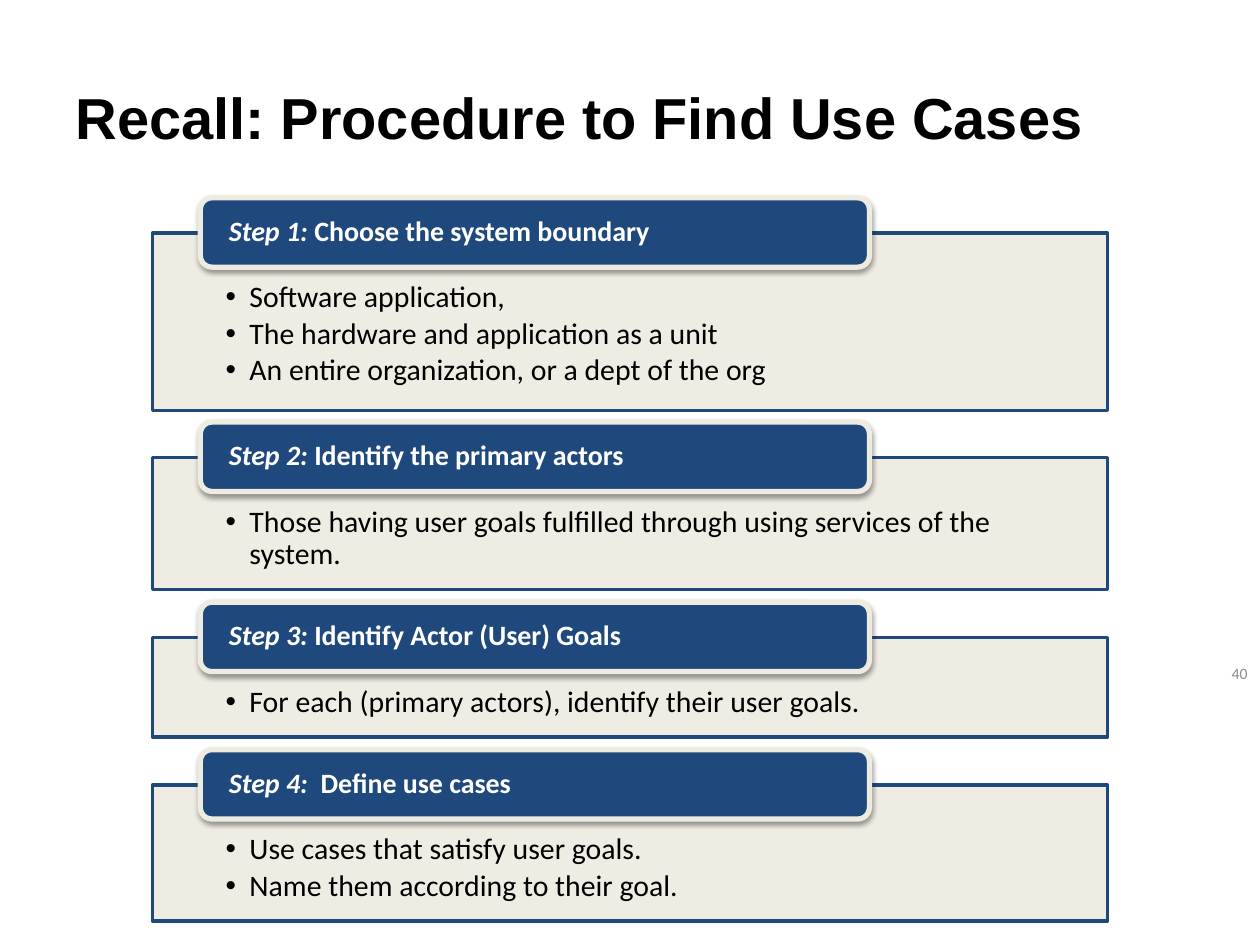
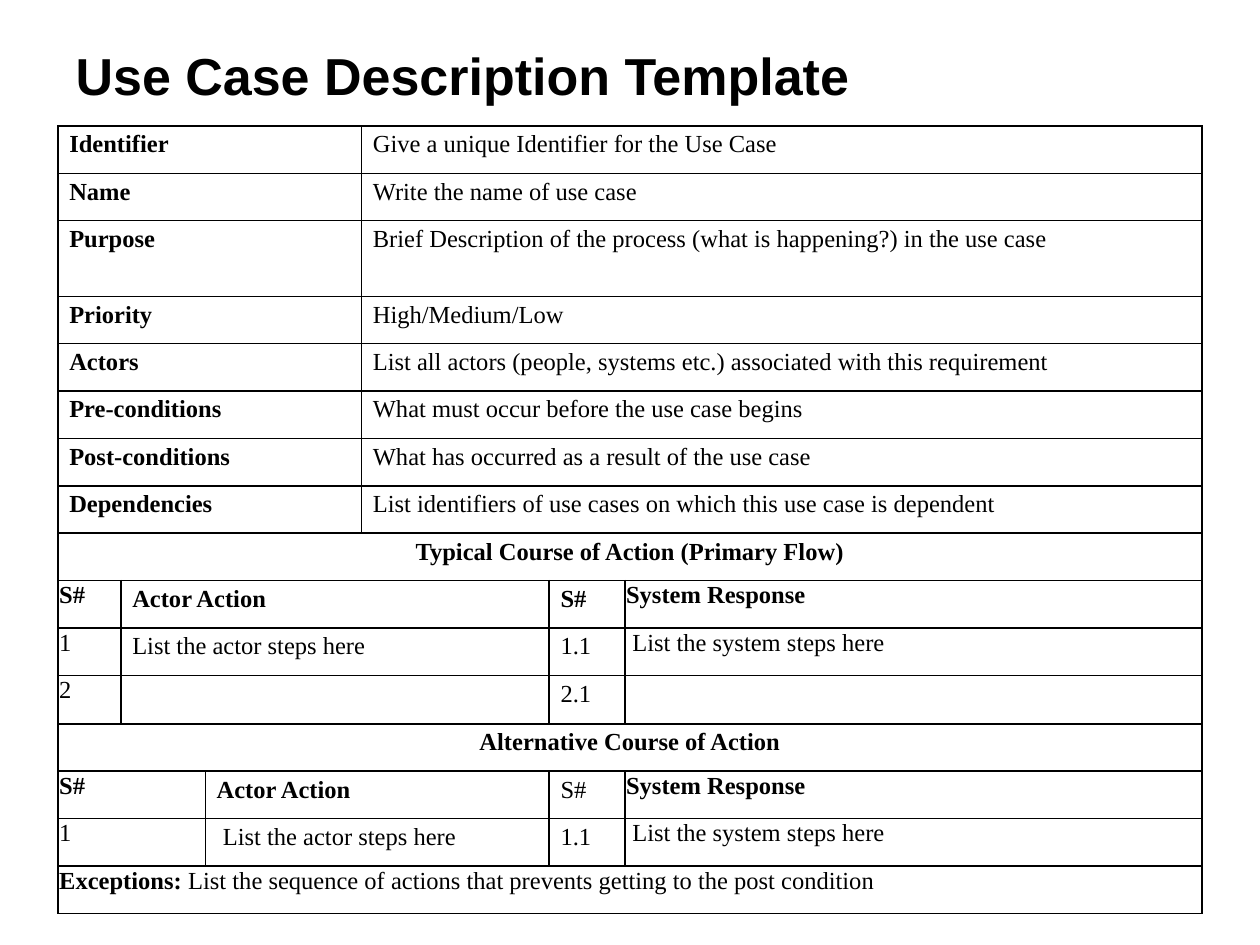
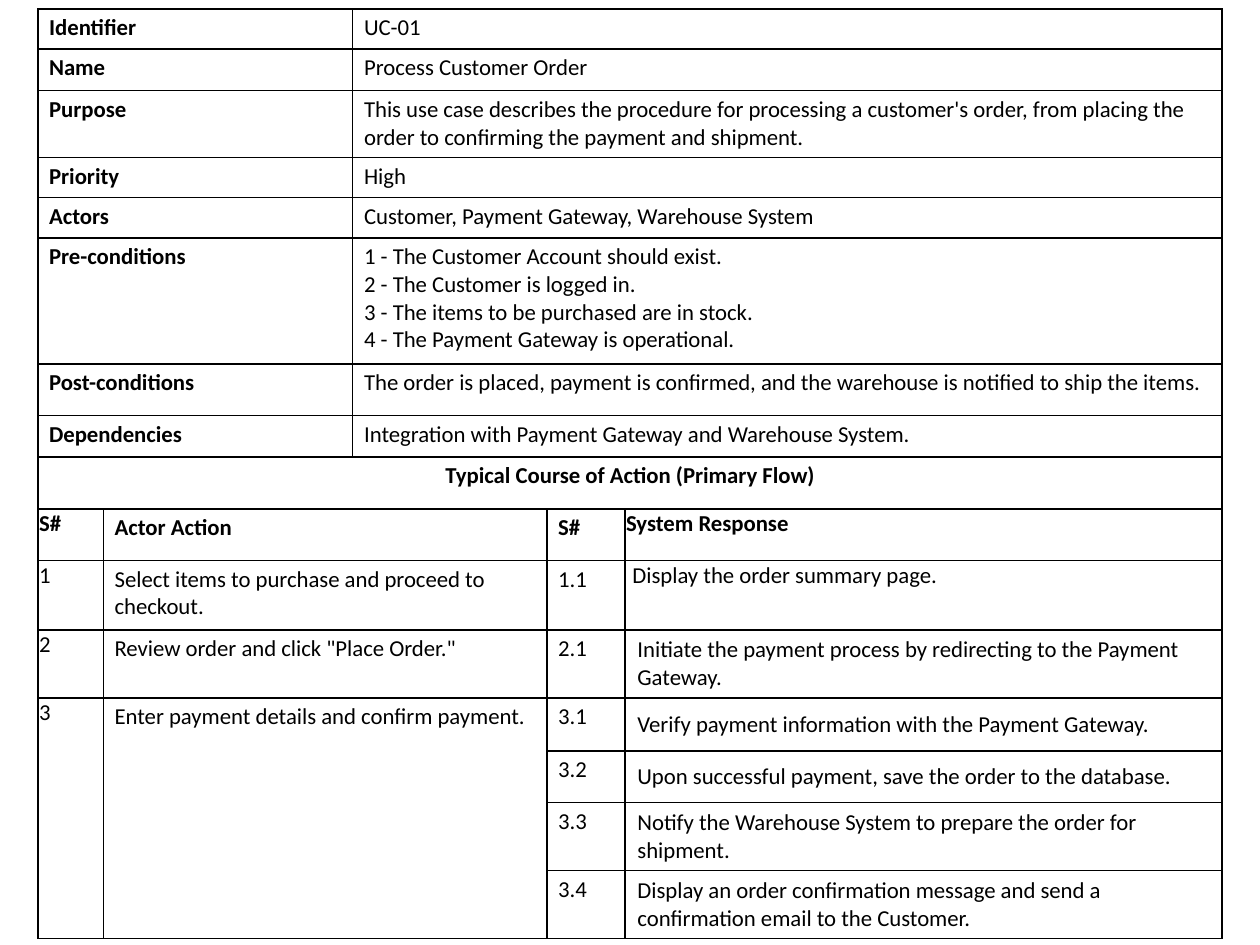
from typing import NamedTuple

from lxml import etree
from pptx import Presentation
from pptx.dml.color import RGBColor
from pptx.enum.shapes import MSO_SHAPE
from pptx.enum.text import MSO_ANCHOR, MSO_AUTO_SIZE, PP_ALIGN
from pptx.oxml.ns import qn
from pptx.util import Pt

SCALE = 9144
RECT, ROUND = MSO_SHAPE.RECTANGLE, MSO_SHAPE.ROUNDED_RECTANGLE
LEFT, RIGHT, CENTER = PP_ALIGN.LEFT, PP_ALIGN.RIGHT, PP_ALIGN.CENTER
TOP, MIDDLE = MSO_ANCHOR.TOP, MSO_ANCHOR.MIDDLE
NO_FIT = MSO_AUTO_SIZE.NONE

COLORS = {
    "ink": "000000",
    "navy": "1F497D",
    "cream": "EEECE1",
    "white": "FFFFFF",
    "grey": "8C8C8C",
}
SANS, SERIF, HEAD = "Calibri", "Times New Roman", "Arial"
PADS = {
    "norm": (9, 4),
    "band": (9, 4),
    "tight": (1, 1),
    "lead": (6, 1),
    "inset": (14, 4),
    "mid": (10, 5),
}

STEPS = [
    (185, 141, "Step 1: ", "Choose the system boundary", [
        "Software application,",
        "The hardware and application as a unit",
        "An entire organization, or a dept of the org",
    ]),
    (363, 105, "Step 2: ", "Identify the primary actors", [
        "Those having user goals fulfilled through using services of the system.",
    ]),
    (506, 79, "Step 3: ", "Identify Actor (User) Goals", [
        "For each (primary actors), identify their user goals.",
    ]),
    (623, 108, "Step 4:  ", "Define use cases", [
        "Use cases that satisfy user goals.",
        "Name them according to their goal.",
    ]),
]

FIELDS = ["Identifier", "Name", "Purpose", "Priority", "Actors",
          "Pre-conditions", "Post-conditions", "Dependencies"]
HINTS = [
    "Give a unique Identifier for the Use Case",
    "Write the name of use case",
    "Brief Description of the process (what is happening?) in the use case",
    "High/Medium/Low",
    "List all actors (people, systems etc.) associated with this requirement",
    "What must occur before the use case begins",
    "What has occurred as a result of the use case",
    "List identifiers of use cases on which this use case is dependent",
]
ORDER = [
    "UC-01",
    "Process Customer Order",
    "This use case describes the procedure for processing a customer's order, "
    "from placing the order to confirming the payment and shipment.",
    "High",
    "Customer, Payment Gateway, Warehouse System",
    "1 - The Customer Account should exist.\n"
    "2 - The Customer is logged in.\n"
    "3 - The items to be purchased are in stock.\n"
    "4 - The Payment Gateway is operational.",
    "The order is placed, payment is confirmed, and the warehouse is notified "
    "to ship the items.",
    "Integration with Payment Gateway and Warehouse System.",
]
FLOW = "Typical Course of Action (Primary Flow)"


class Cell(NamedTuple):
    text: str
    wide: int = 1
    kind: str = "norm"
    bold: bool = False
    tall: int = 1


def px(*values):
    return [round(value * SCALE) for value in values]


def rgb(name):
    return RGBColor.from_string(COLORS[name])


def style(run, face, size, color="ink", bold=False, slant=False):
    font = run.font
    font.name, font.size = face, Pt(size)
    font.bold, font.italic = bold, slant
    font.color.rgb = rgb(color)


def pad(item, left, top, right, bottom):
    (item.margin_left, item.margin_top,
     item.margin_right, item.margin_bottom) = px(left, top, right, bottom)


def add_title(slide, text, height, size):
    title = slide.shapes.title
    title.left, title.top, title.width, title.height = px(50, 30, 900, height)
    frame = title.text_frame
    frame.text = text
    frame.auto_size = NO_FIT
    frame.vertical_anchor = MIDDLE
    frame.paragraphs[0].alignment = LEFT
    style(frame.paragraphs[0].runs[0], HEAD, size, bold=True)


def add_box(slide, kind, place, fill, line, weight):
    box = slide.shapes.add_shape(kind, *px(*place))
    box.shadow.inherit = False
    box.fill.solid()
    box.fill.fore_color.rgb = rgb(fill)
    box.line.color.rgb = rgb(line)
    box.line.width = Pt(weight)
    box.text_frame.word_wrap = True
    return box


def add_panel(slide, top, height, lines):
    panel = add_box(slide, RECT, (121, top, 758, height), "cream", "navy", 2)
    tint = panel.fill._xPr.find(".//" + qn("a:srgbClr"))
    etree.SubElement(tint, qn("a:alpha"), val="90000")
    frame = panel.text_frame
    pad(frame, 58, 39, 59, 13)
    frame.vertical_anchor = TOP
    frame.text = "\n".join(lines)
    for para in frame.paragraphs:
        props = para._p.get_or_add_pPr()
        hang = px(19)[0]
        props.set("marL", str(hang))
        props.set("indent", str(-hang))
        etree.SubElement(props, qn("a:buFont"), typeface="Arial")
        etree.SubElement(props, qn("a:buChar"), char="•")
        para.alignment = LEFT
        para.line_spacing = 0.9
        para.space_after = Pt(2.5)
        style(para.runs[0], SANS, 17)


def add_shade(shape):
    effects = shape._element.spPr.find(qn("a:effectLst"))
    shade = etree.SubElement(
        effects, qn("a:outerShdw"), blurRad=str(Pt(3.1)), dist=str(Pt(1.6)),
        dir="5400000", rotWithShape="0")
    tone = etree.SubElement(shade, qn("a:srgbClr"), val=COLORS["ink"])
    etree.SubElement(tone, qn("a:alpha"), val="38000")


def add_label(slide, top, step, text):
    label = add_box(slide, ROUND, (159, top - 28, 531, 55), "navy", "cream", 3)
    add_shade(label)
    frame = label.text_frame
    pad(frame, 20, 0, 20, 0)
    frame.vertical_anchor = MIDDLE
    frame.text = step
    para = frame.paragraphs[0]
    para.alignment = LEFT
    para.line_spacing = 0.9
    para.add_run().text = text
    for run, slant in zip(para.runs, (True, False)):
        style(run, SANS, 16, "white", True, slant)


def add_number(slide, text):
    frame = slide.shapes.add_textbox(*px(775, 521, 225, 30)).text_frame
    frame.word_wrap = True
    frame.vertical_anchor = MIDDLE
    frame.text = text
    para = frame.paragraphs[0]
    para.alignment = RIGHT
    para.line_spacing = 0.8
    style(para.runs[0], SANS, 9, "grey")


def clear_cell(cell, size):
    pad(cell, 1, 1, 1, 1)
    cell.fill.background()
    props = cell._tc.get_or_add_tcPr()
    for spot, side in enumerate(("lnL", "lnR", "lnT", "lnB")):
        line = etree.Element(qn("a:" + side), w=str(Pt(1)))
        paint = etree.SubElement(line, qn("a:solidFill"))
        etree.SubElement(paint, qn("a:srgbClr"), val=COLORS["ink"])
        props.insert(spot, line)
    para = cell.text_frame.paragraphs[0]
    etree.SubElement(para._p, qn("a:endParaRPr"), sz=str(size * 100))


def fill_cell(cell, item, face, size):
    side, edge = PADS[item.kind]
    pad(cell, side, edge, side, edge)
    cell.vertical_anchor = MIDDLE if item.kind == "mid" else TOP
    cell.text_frame.text = item.text
    for para in cell.text_frame.paragraphs:
        para.alignment = CENTER if item.kind == "band" else LEFT
        for run in para.runs:
            style(run, face, size, bold=item.bold)


def add_grid(slide, left, top, cols, heights, rows, face, size):
    place = px(left, top, sum(cols), sum(heights))
    grid = slide.shapes.add_table(len(rows), len(cols), *place).table
    grid.first_row = grid.horz_banding = False
    for col, width in zip(grid.columns, px(*cols)):
        col.width = width
    for row, height in zip(grid.rows, px(*heights)):
        row.height = height
    for cell in grid.iter_cells():
        clear_cell(cell, size)
    for y, row in enumerate(rows):
        x = 0
        for item in row:
            if item.text is not None:
                cell = grid.cell(y, x)
                if item.wide * item.tall > 1:
                    cell.merge(grid.cell(y + item.tall - 1, x + item.wide - 1))
                fill_cell(cell, item, face, size)
            x += item.wide
    return grid


def pairs(values, left, right):
    return [[Cell(name, left, bold=True), Cell(value, right)]
            for name, value in zip(FIELDS, values)]


def band(text, wide):
    return [Cell(text, wide, "band", True)]


def heads(first, second, bold=True):
    return [Cell("S#", first, "tight", True),
            Cell("Actor Action", second, bold=True),
            Cell("S#", bold=bold),
            Cell("System Response", 1, "tight", True)]


def step(mark, act, code, reply, kind="lead", first=1, second=2,
         tall=1, style="norm"):
    return [Cell(mark, first, "tight", tall=tall),
            Cell(act, second, style, tall=tall),
            Cell(code), Cell(reply, 1, kind)]


def more(code, reply):
    return [Cell(None, 3), Cell(code), Cell(reply, 1, "mid")]


def recall(slide):
    add_title(slide, "Recall: Procedure to Find Use Cases", 125, 33)
    add_number(slide, "40")
    for top, height, mark, text, lines in STEPS:
        add_panel(slide, top, height, lines)
        add_label(slide, top, mark, text)


def blank_form(slide):
    add_title(slide, "Use Case Description Template", 58, 29.7)
    act, reply = "List the actor steps here", "List the system steps here"
    rows = pairs(HINTS, 3, 3) + [
        band(FLOW, 6),
        heads(1, 3),
        step("1", act, "1.1", reply, second=3),
        step("2", "", "2.1", "", second=3),
        band("Alternative Course of Action", 6),
        heads(2, 2, bold=False),
        step("1", act, "1.1", reply, first=2, second=2, style="inset"),
        [Cell("Exceptions:", 6, "tight", True)],
    ]
    heights = [(624 - 60) / (len(rows) - 1)] * len(rows)
    heights[FIELDS.index("Purpose")] = 60
    grid = add_grid(slide, 46, 100, [50, 67, 124, 149, 60, 458], heights,
                    rows, SERIF, 14)
    run = grid.cell(len(rows) - 1, 0).text_frame.paragraphs[0].add_run()
    run.text = " List the sequence of actions that prevents getting to the post condition"
    style(run, SERIF, 14)


def order_form(slide):
    rows = pairs(ORDER, 2, 3) + [
        band(FLOW, 5),
        heads(1, 2),
        step("1", "Select items to purchase and proceed to checkout.", "1.1",
             "Display the order summary page."),
        step("2", 'Review order and click "Place Order."', "2.1",
             "Initiate the payment process by redirecting to the Payment Gateway.",
             "mid"),
        step("3", "Enter payment details and confirm payment.", "3.1",
             "Verify payment information with the Payment Gateway.", "mid",
             tall=4),
        more("3.2", "Upon successful payment, save the order to the database."),
        more("3.3", "Notify the Warehouse System to prepare the order for shipment."),
        more("3.4", "Display an order confirmation message and send a "
                    "confirmation email to the Customer."),
    ]
    heights = [32, 33, 53, 32, 32, 100, 41, 33, 41, 41, 55, 54, 42, 41, 54, 54]
    add_grid(slide, 30, 7, [52, 198, 154, 62, 474], heights, rows, SANS, 13)


def main():
    deck = Presentation()
    deck.slide_width, deck.slide_height = px(1000, 750)
    titled, plain = deck.slide_layouts[5], deck.slide_layouts[6]
    for layout, build in ((titled, recall), (titled, blank_form),
                          (plain, order_form)):
        build(deck.slides.add_slide(layout))
    deck.save("out.pptx")


if __name__ == "__main__":
    main()
